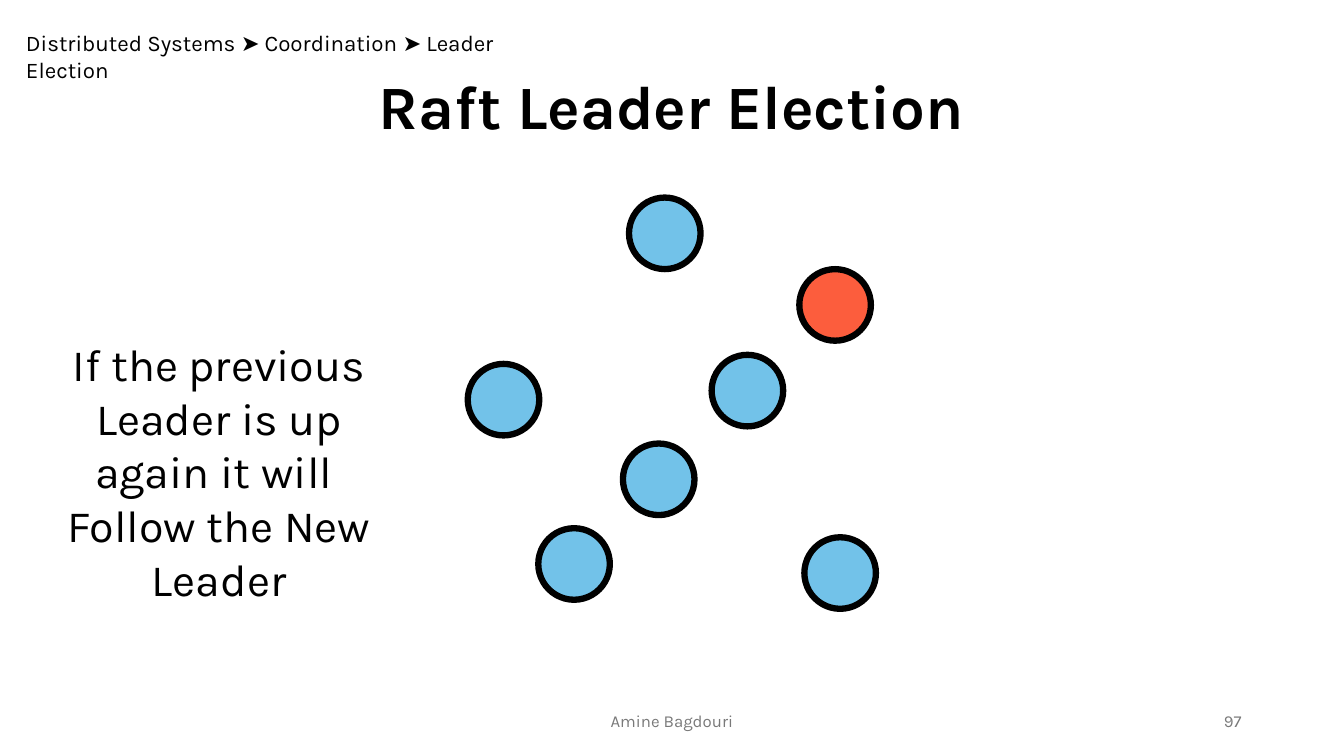
from dataclasses import dataclass

import pptx
import pptx.dml.color
import pptx.enum.shapes
import pptx.enum.text
import pptx.shapes.autoshape
import pptx.shapes.group
import pptx.util

COLORS = {
    "ink": "000000",
    "muted": "797979",
    "follower": "72C2E9",
    "previous_leader": "FC5D3D",
}
FONT = "Karla"
COLUMNS, ROWS = 40, 22.5
CELL = pptx.util.Inches(1) / 3  # side of a square grid cell
NODE_SIZE = 2.13

ALIGN = pptx.enum.text.PP_ALIGN
ANCHOR = pptx.enum.text.MSO_ANCHOR


@dataclass(frozen=True)
class Label:
    """A text with its box in grid columns and rows."""
    text: str
    column: float
    row: float
    width: float
    height: float
    size: int
    align: ALIGN = ALIGN.CENTER
    anchor: ANCHOR = ANCHOR.TOP
    color: str = "ink"
    bold: bool = False


@dataclass(frozen=True)
class Node:
    """A server of the cluster, placed by its top left corner."""
    column: float
    row: float
    role: str = "follower"


TITLE = Label("Raft Leader Election", 0, 1.86, COLUMNS, 2.52, 44, bold=True)
LABELS = [
    Label("Distributed Systems ➤ Coordination ➤ Leader Election",
          0.48, 0.72, 16.71, 1.11, 16, ALIGN.LEFT),
    Label("Amine Bagdouri", 13.25, 20.85, 13.5, 1.2, 12,
          anchor=ANCHOR.MIDDLE, color="muted"),
    Label("97", 28.25, 20.85, 9, 1.2, 12,
          ALIGN.RIGHT, ANCHOR.MIDDLE, "muted"),
    Label("If the previous Leader is up again it will \nFollow the New Leader",
          1.29, 9.87, 10.47, 8.37, 32),
]
NODES = [
    Node(23.79, 8.01, "previous_leader"),
    Node(21.18, 10.56),
    Node(16.02, 15.72),
    Node(18.72, 5.88),
    Node(13.92, 10.83),
    Node(23.94, 15.99),
    Node(18.54, 13.2),
]


def grid(cells: float) -> pptx.util.Emu:
    return pptx.util.Emu(round(cells * CELL))


def rgb(name: str) -> pptx.dml.color.RGBColor:
    return pptx.dml.color.RGBColor.from_string(COLORS[name])


def write_label(shape: pptx.shapes.autoshape.Shape, label: Label) -> None:
    shape.left, shape.top = grid(label.column), grid(label.row)
    shape.width, shape.height = grid(label.width), grid(label.height)
    text_frame = shape.text_frame
    text_frame.text = label.text
    text_frame.word_wrap = True
    text_frame.auto_size = pptx.enum.text.MSO_AUTO_SIZE.NONE
    text_frame.vertical_anchor = label.anchor
    for paragraph in text_frame.paragraphs:
        paragraph.alignment = label.align
        for run in paragraph.runs:
            run.font.name = FONT
            run.font.size = pptx.util.Pt(label.size)
            run.font.bold = label.bold
            run.font.color.rgb = rgb(label.color)


def draw_node(cluster: pptx.shapes.group.GroupShape, node: Node) -> None:
    shape = cluster.shapes.add_shape(
        pptx.enum.shapes.MSO_SHAPE.OVAL, grid(node.column), grid(node.row),
        grid(NODE_SIZE), grid(NODE_SIZE))
    shape.shadow.inherit = False
    shape.fill.solid()
    shape.fill.fore_color.rgb = rgb(node.role)
    shape.line.color.rgb = rgb("ink")
    shape.line.width = pptx.util.Pt(4.5)


def main() -> None:
    presentation = pptx.Presentation()
    presentation.slide_width = grid(COLUMNS)
    presentation.slide_height = grid(ROWS)
    title_only = presentation.slide_layouts.get_by_name("Title Only")
    slide = presentation.slides.add_slide(title_only)

    # Title, breadcrumb, footer and explanation
    write_label(slide.shapes.title, TITLE)
    for label in LABELS:
        write_label(slide.shapes.add_textbox(0, 0, 0, 0), label)

    # Cluster of servers
    cluster = slide.shapes.add_group_shape()
    for node in NODES:
        draw_node(cluster, node)

    presentation.save("out.pptx")


if __name__ == "__main__":
    main()
